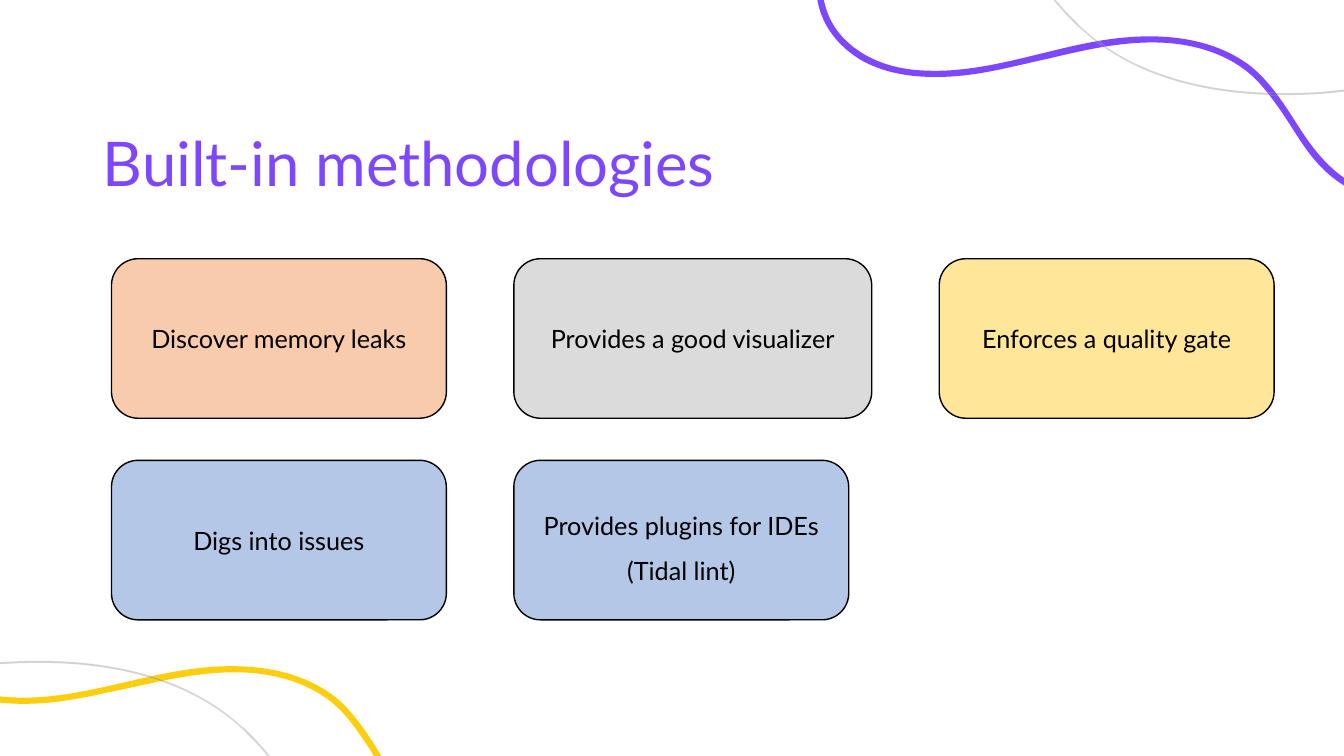
from dataclasses import dataclass
from math import cos, radians, sin

from lxml import etree
from pptx import Presentation
from pptx import util as u
from pptx.dml.color import RGBColor
from pptx.enum import shapes, text
from pptx.oxml import ns

Point = tuple[float, float]


@dataclass(frozen=True)
class Theme:
    font: str = "Lato"
    title_size: int = 44
    body_size: int = 18
    purple: str = "7D46FF"
    yellow: str = "FCCE0D"
    black: str = "000000"
    white: str = "FFFFFF"
    peach: str = "F8CBAD"
    grey: str = "DBDBDB"
    cream: str = "FFE699"
    blue: str = "B4C7E7"


THEME = Theme()


@dataclass(frozen=True)
class Card:
    lines: tuple[str, ...]
    fill: str
    column: int
    row: int
    width: float = 8.44
    spacing: float = 1.0


@dataclass(frozen=True)
class Ribbon:
    outline: tuple[Point, ...]
    pivot: Point
    centre: Point
    turn: float
    fill: str
    faint: bool = False


CARDS = (
    Card(("Discover memory leaks",), THEME.peach, 0, 0),
    Card(("Provides a good visualizer",), THEME.grey, 1, 0, width=9.02),
    Card(("Enforces a quality gate",), THEME.cream, 2, 0),
    Card(("Digs into issues",), THEME.blue, 0, 1),
    Card(("Provides plugins for IDEs", "(Tidal lint)"), THEME.blue, 1, 1, spacing=1.5),
)
COLUMN_LEFTS = (2.81, 12.95, 23.67)
FIRST_ROW, ROW_PITCH, CARD_HEIGHT = 6.52, 5.08, 4.02

# Cubic Bézier outlines: a start point, then three points per segment.
# Their grid unit is 2.54 cm.
GRID = 2.54
WAVE = (
    (13.42, 1.82), (13.18, 1.68), (13.02, 1.47), (12.88, 1.25),
    (12.74, 1.03), (12.6, 0.81), (12.4, 0.65),
    (11.97, 0.33), (11.39, 0.32), (10.88, 0.41),
    (10.31, 0.51), (9.75, 0.73), (9.17, 0.7),
    (8.88, 0.69), (8.59, 0.6), (8.38, 0.39),
    (8.21, 0.22), (8.15, 0), (8.15, -0.24),
    (8.15, -0.37), (8.17, -0.51), (8.19, -0.64),
    (8.13, -0.65), (8.13, -0.65), (8.13, -0.65),
    (8.13, -0.62), (8.12, -0.58), (8.12, -0.54),
    (8.09, -0.32), (8.07, -0.09), (8.14, 0.12),
    (8.22, 0.36), (8.42, 0.55), (8.65, 0.65),
    (8.93, 0.77), (9.25, 0.78), (9.55, 0.75),
    (9.84, 0.72), (10.13, 0.64), (10.41, 0.58),
    (10.95, 0.45), (11.54, 0.32), (12.08, 0.54),
    (12.2, 0.59), (12.32, 0.66), (12.42, 0.75),
    (12.52, 0.84), (12.6, 0.95), (12.68, 1.06),
    (12.83, 1.27), (12.95, 1.51), (13.14, 1.69),
    (13.34, 1.88), (13.6, 2), (13.88, 2.02),
    (13.89, 1.96), (13.89, 1.96), (13.89, 1.96),
    (13.73, 1.95), (13.57, 1.9), (13.42, 1.82),
)
ARC = (
    (13.78, 0.83), (13.79, 0.85), (13.79, 0.85), (13.79, 0.85),
    (13.57, 0.88), (13.35, 0.91), (13.13, 0.93),
    (12.42, 0.98), (11.42, 0.92), (10.74, 0.3),
    (10.71, 0.28), (10.68, 0.25), (10.65, 0.22),
    (10.48, 0.05), (10.33, -0.15), (10.2, -0.35),
    (10.21, -0.36), (10.21, -0.36), (10.21, -0.36),
    (10.35, -0.16), (10.49, 0.04), (10.67, 0.21),
    (10.69, 0.24), (10.72, 0.26), (10.75, 0.29),
    (11.43, 0.9), (12.42, 0.96), (13.13, 0.91),
    (13.34, 0.89), (13.56, 0.86), (13.78, 0.83),
)
WAVE_PIVOT, ARC_PIVOT = (10.84, 0.91), (11.97, 0.28)
RIBBONS = (
    Ribbon(WAVE, WAVE_PIVOT, WAVE_PIVOT, 0, THEME.purple),
    Ribbon(WAVE, WAVE_PIVOT, (1.76, 7.15), 0.8, THEME.yellow),
    Ribbon(ARC, ARC_PIVOT, (1.16, 7.22), 180, THEME.black, faint=True),
    Ribbon(ARC, ARC_PIVOT, ARC_PIVOT, 0, THEME.black, faint=True),
)


def apply(target: object, values: dict[str, object]) -> None:
    for name, value in values.items():
        setattr(target, name, value)


def write(para: object, words: str, size: int, colour: str, **layout: object) -> None:
    apply(para, layout)
    span = para.add_run()
    span.text = words
    apply(span.font, {"name": THEME.font, "size": u.Pt(size)})
    span.font.color.rgb = RGBColor.from_string(colour)


def paint(shape: object, fill: str) -> None:
    shape.shadow.inherit = False
    shape.fill.solid()
    shape.fill.fore_color.rgb = RGBColor.from_string(fill)


def outline(shape: object, colour: str) -> None:
    shape.line.color.rgb = RGBColor.from_string(colour)
    shape.line.width = u.Pt(1)


def curve(shape: object) -> None:
    """Turn every three straight segments into one cubic segment."""
    segments = list(shape.element.spPr.iter(ns.qn("a:lnTo")))
    for first in range(0, len(segments), 3):
        cubic = etree.Element(ns.qn("a:cubicBezTo"))
        segments[first].addprevious(cubic)
        for segment in segments[first:first + 3]:
            cubic.append(segment[0])
            segment.getparent().remove(segment)


def draw_ribbon(page: object, ribbon: Ribbon) -> None:
    angle = radians(ribbon.turn)
    placed = []
    for x, y in ribbon.outline:
        dx, dy = x - ribbon.pivot[0], y - ribbon.pivot[1]
        placed.append((
            u.Cm(GRID * (ribbon.centre[0] + dx * cos(angle) - dy * sin(angle))),
            u.Cm(GRID * (ribbon.centre[1] + dx * sin(angle) + dy * cos(angle)))))
    builder = page.shapes.build_freeform(*placed[0])
    builder.add_line_segments(placed[1:], close=True)
    shape = builder.convert_to_shape()
    curve(shape)
    paint(shape, ribbon.fill)
    if not ribbon.faint:
        shape.line.fill.background()
        return
    outline(shape, THEME.white)
    for colour in shape.element.spPr.iter(ns.qn("a:srgbClr")):
        etree.SubElement(colour, ns.qn("a:alpha"), val="20000")


def draw_card(page: object, card: Card) -> None:
    box = page.shapes.add_shape(
        shapes.MSO_SHAPE.ROUNDED_RECTANGLE,
        u.Cm(COLUMN_LEFTS[card.column]), u.Cm(FIRST_ROW + card.row * ROW_PITCH),
        u.Cm(card.width), u.Cm(CARD_HEIGHT))
    paint(box, card.fill)
    outline(box, THEME.black)
    frame = box.text_frame
    apply(frame, {"word_wrap": True, "vertical_anchor": text.MSO_ANCHOR.MIDDLE})
    for index, words in enumerate(card.lines):
        para = frame.add_paragraph() if index else frame.paragraphs[0]
        write(para, words, THEME.body_size, THEME.black,
              alignment=text.PP_ALIGN.CENTER, line_spacing=card.spacing)


def draw_title(page: object, words: str) -> None:
    title = page.shapes.title
    apply(title, {"left": u.Cm(2.34), "top": u.Cm(3.23),
                  "width": u.Cm(29.21), "height": u.Cm(3.68)})
    apply(title.text_frame, {"word_wrap": True, "auto_size": text.MSO_AUTO_SIZE.NONE,
                             "vertical_anchor": text.MSO_ANCHOR.TOP})
    write(title.text_frame.paragraphs[0], words, THEME.title_size, THEME.purple,
          alignment=text.PP_ALIGN.LEFT, line_spacing=0.9)


def main() -> None:
    deck = Presentation()
    apply(deck, {"slide_width": u.Cm(33.87), "slide_height": u.Cm(19.05)})
    page = deck.slides.add_slide(deck.slide_layouts.get_by_name("Title Only"))
    # Corner ribbons
    for ribbon in RIBBONS:
        draw_ribbon(page, ribbon)
    # Title and cards
    draw_title(page, "Built-in methodologies")
    for card in CARDS:
        draw_card(page, card)
    deck.save("out.pptx")


if __name__ == "__main__":
    main()
